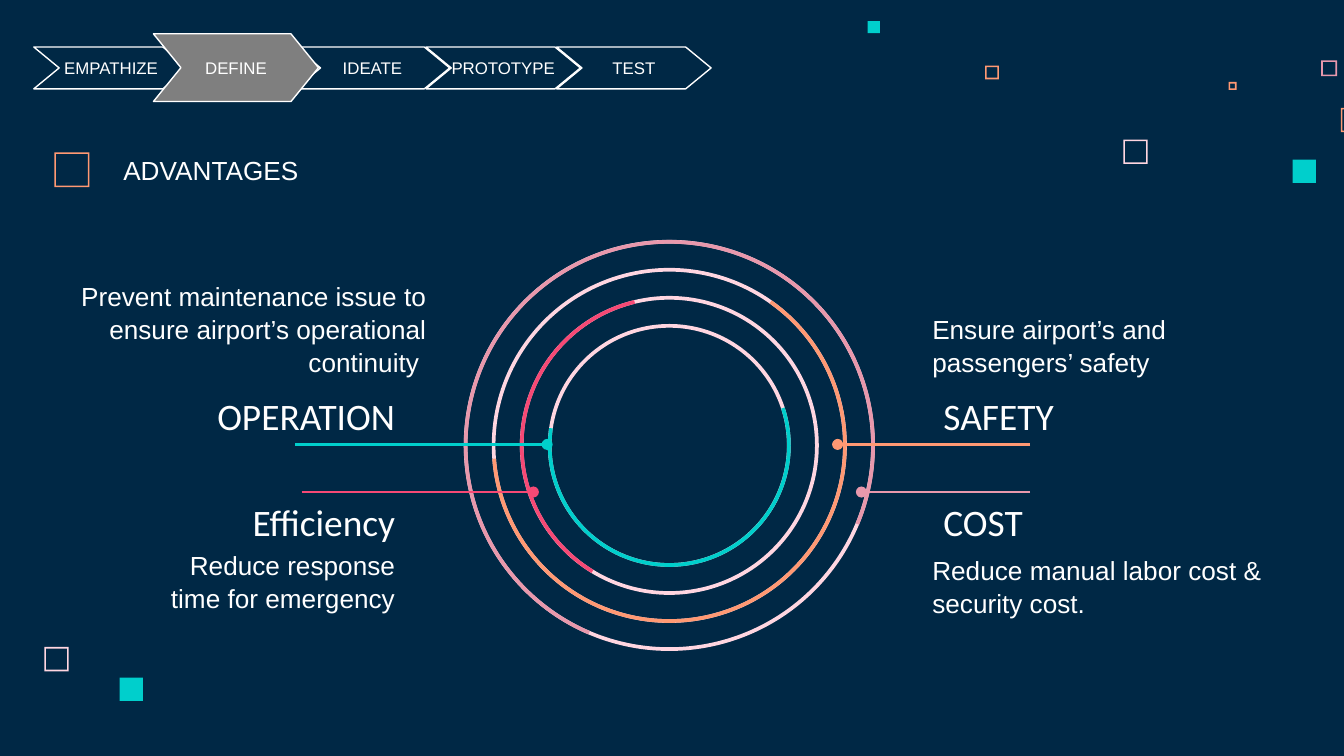
from dataclasses import dataclass

from lxml import etree
from pptx import Presentation
from pptx import util as u
from pptx.dml.color import RGBColor
from pptx.enum import shapes, text
from pptx.oxml import ns

Cm = u.Cm
Kind = shapes.MSO_SHAPE
Align = text.PP_ALIGN
Anchor = text.MSO_ANCHOR


@dataclass(frozen=True)
class Theme:
    navy: str = "002845"
    white: str = "FFFFFF"
    blush: str = "FFD6E1"
    rose: str = "E898AC"
    orange: str = "FF9973"
    pink: str = "F64975"
    teal: str = "00CFCC"
    gray: str = "7F7F7F"
    heading_font: str = "Calibri"
    body_font: str = "Arial"
    heading: int = 20
    body: int = 14
    step: int = 9


T = Theme()


@dataclass(frozen=True)
class Square:
    x: float
    y: float
    side: float
    color: str
    hollow: bool = True


@dataclass(frozen=True)
class Ring:
    rotation: float
    start: float
    end: float
    color: str


@dataclass(frozen=True)
class Pointer:
    x1: float
    x2: float
    y: float
    color: str


@dataclass(frozen=True)
class Label:
    words: str
    x: float
    y: float
    w: float
    align: Align
    anchor: Anchor
    heading: bool = False


SQUARES = [
    Square(21.23, 2.64, 0.46, T.blush),
    Square(24.97, 1.14, 0.3, T.rose),
    Square(23.22, 1.55, 0.15, T.orange),
    Square(25.34, 2.04, 0.46, T.orange),
    Square(24.43, 3.02, 0.44, T.teal, False),
    Square(18.62, 1.24, 0.26, T.orange),
    Square(16.4, 0.4, 0.23, T.teal, False),
    Square(0.84, 12.23, 0.46, T.blush),
    Square(2.26, 12.81, 0.44, T.teal, False),
    Square(1.03, 2.88, 0.66, T.orange),
]
RINGS = [
    Ring(210, 157.91, 103.6, T.rose),
    Ring(0, 183.14, 105.39, T.orange),
    Ring(81.2, 24.12, 105.1, T.pink),
    Ring(13.1, 197.21, 105.1, T.teal),
]
POINTERS = [
    Pointer(5.58, 10.34, 8.4, T.teal),
    Pointer(5.7, 10.08, 9.3, T.pink),
    Pointer(19.47, 15.83, 8.4, T.orange),
    Pointer(19.47, 16.28, 9.3, T.rose),
]
LABELS = [
    Label("OPERATION", 2.49, 7.19, 5.23, Align.RIGHT, Anchor.TOP, True),
    Label("Prevent maintenance issue to ensure airport’s operational continuity ",
          0, 5.59, 8.31, Align.RIGHT, Anchor.BOTTOM),
    Label("SAFETY", 17.58, 7.19, 5.23, Align.LEFT, Anchor.TOP, True),
    Label("Ensure airport’s and\npassengers’ safety",
          17.37, 5.59, 6.48, Align.LEFT, Anchor.BOTTOM),
    Label("Efficiency", 2.49, 8.74, 5.23, Align.RIGHT, Anchor.BOTTOM, True),
    Label("Reduce response time for emergency",
          2.49, 10.11, 5.23, Align.RIGHT, Anchor.TOP),
    Label("COST", 17.58, 8.74, 5.23, Align.LEFT, Anchor.BOTTOM, True),
    Label("Reduce manual labor cost & security cost.",
          17.37, 10.21, 7.16, Align.LEFT, Anchor.TOP),
]
STEPS = ["EMPATHIZE", "DEFINE", "IDEATE", "PROTOTYPE", "TEST"]
ACTIVE_STEP = "DEFINE"
STROKE = 0.07


def rgb(color: str) -> RGBColor:
    return RGBColor.from_string(color)


def add_filled(s, kind: Kind, x: float, y: float, w: float, h: float, color: str):
    sp = s.shapes.add_shape(kind, Cm(x), Cm(y), Cm(w), Cm(h))
    sp.shadow.inherit = False
    sp.fill.solid()
    sp.fill.fore_color.rgb = rgb(color)
    sp.line.fill.background()
    return sp


def write(tf, words: str, font: str, size: int, align: Align, anchor: Anchor,
          margin_x: float, margin_y: float, wrap: bool = True) -> None:
    tf.auto_size = text.MSO_AUTO_SIZE.NONE
    tf.word_wrap = wrap
    tf.vertical_anchor = anchor
    tf.margin_left = tf.margin_right = Cm(margin_x)
    tf.margin_top = tf.margin_bottom = Cm(margin_y)
    tf.text = words
    for p in tf.paragraphs:
        p.alignment = align
        p.font.name = font
        p.font.size = u.Pt(size)
        p.font.color.rgb = rgb(T.white)


def draw_square(s, sq: Square) -> None:
    kind = Kind.FRAME if sq.hollow else Kind.RECTANGLE
    sp = add_filled(s, kind, sq.x, sq.y, sq.side, sq.side, sq.color)
    if sq.hollow:
        sp.adjustments[0] = 0.03 / sq.side


def draw_ring(s, index: int, ring: Ring) -> None:
    d = 7.77 - 1.06 * index
    box = (12.65 - d / 2, 8.42 - d / 2, d, d)
    base = add_filled(s, Kind.DONUT, *box, T.blush)
    base.adjustments[0] = STROKE / d
    arc = add_filled(s, Kind.BLOCK_ARC, *box, ring.color)
    arc.rotation = ring.rotation
    for i, value in enumerate((ring.start, ring.end, STROKE / d)):
        arc.adjustments[i] = value


def draw_pointer(s, ptr: Pointer) -> None:
    cx = s.shapes.add_connector(shapes.MSO_CONNECTOR.STRAIGHT,
                                Cm(ptr.x1), Cm(ptr.y), Cm(ptr.x2), Cm(ptr.y))
    cx.line.color.rgb = rgb(ptr.color)
    cx.line.width = u.Pt(1.5)
    etree.SubElement(cx.line._get_or_add_ln(), ns.qn("a:tailEnd"), type="oval")
    etree.SubElement(cx._element.spPr, ns.qn("a:effectLst"))


def draw_label(s, label: Label) -> None:
    box = s.shapes.add_textbox(Cm(label.x), Cm(label.y), Cm(label.w), Cm(1.8))
    font, size = (T.heading_font, T.heading) if label.heading else (T.body_font, T.body)
    write(box.text_frame, label.words, font, size, label.align, label.anchor, 0.25, 0.25)
    if not label.heading:
        for p in box.text_frame.paragraphs:
            p.line_spacing = 1.05


def draw_step(s, index: int, name: str) -> None:
    active = name == ACTIVE_STEP
    x, y, w, h = (2.9, 0.64, 3.12, 1.28) if active else (0.64 + 2.47 * index, 0.89, 2.92, 0.79)
    sp = add_filled(s, Kind.CHEVRON, x, y, w, h, T.gray)
    if not active:
        sp.fill.background()
    sp.adjustments[0] = (0.52 if active else 0.48) / h
    sp.line.color.rgb = rgb(T.white)
    sp.line.width = u.Pt(0.75)
    write(sp.text_frame, name, T.body_font, T.step, Align.CENTER, Anchor.MIDDLE, 0, 0, False)


def main() -> None:
    prs = Presentation()
    prs.slide_width, prs.slide_height = Cm(25.4), Cm(14.29)
    s = prs.slides.add_slide(prs.slide_layouts[5])
    s.background.fill.solid()
    s.background.fill.fore_color.rgb = rgb(T.navy)

    title = s.shapes.title
    title.left, title.top, title.width, title.height = Cm(2.08), Cm(2.79), Cm(7.52), Cm(0.86)
    write(title.text_frame, "ADVANTAGES", T.body_font, T.body,
          Align.LEFT, Anchor.TOP, 0.25, 0.13)

    for sq in SQUARES:
        draw_square(s, sq)
    for label in LABELS:
        draw_label(s, label)
    for i, ring in enumerate(RINGS):
        draw_ring(s, i, ring)
    for ptr in POINTERS:
        draw_pointer(s, ptr)
    for i, name in sorted(enumerate(STEPS), key=lambda step: step[1] == ACTIVE_STEP):
        draw_step(s, i, name)
    prs.save("out.pptx")


if __name__ == "__main__":
    main()
